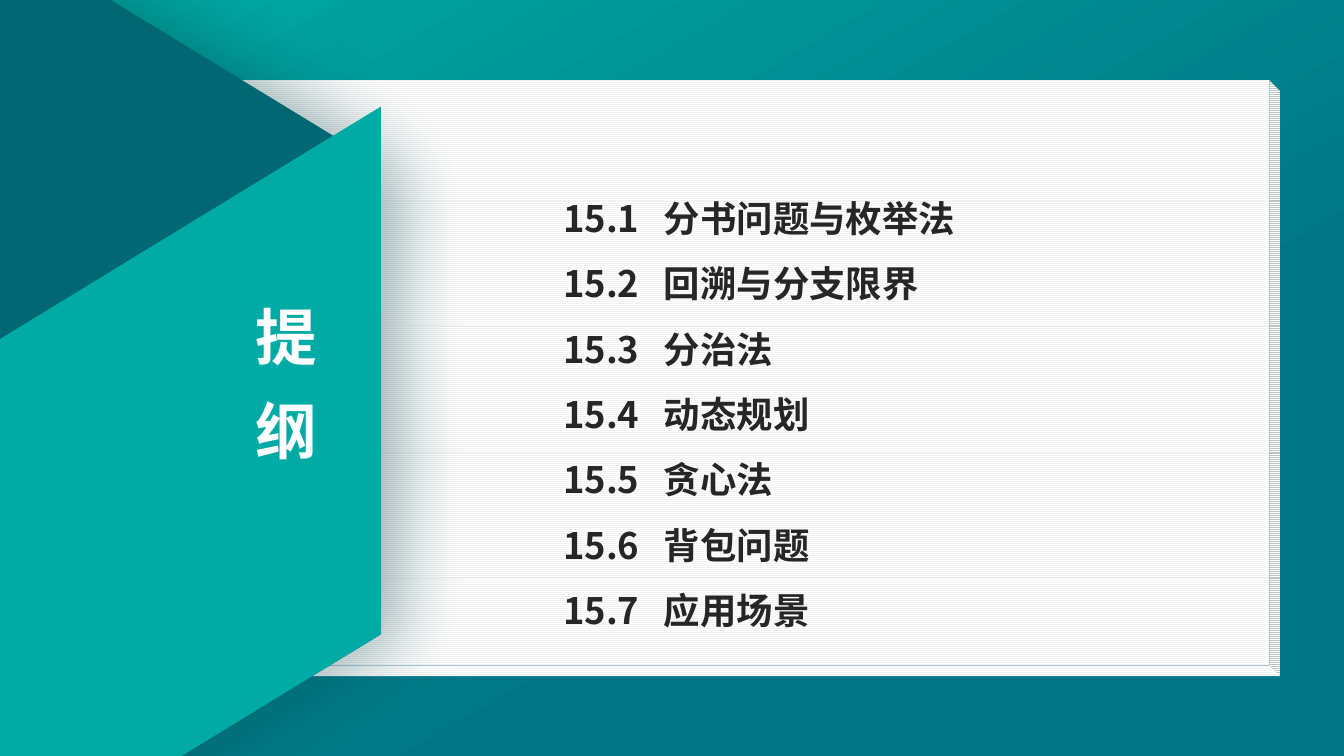
from dataclasses import dataclass
from typing import Optional

import lxml.etree
import pptx
import pptx.dml.color
import pptx.dml.fill
import pptx.enum.dml
import pptx.enum.shapes
import pptx.enum.text
import pptx.oxml.ns
import pptx.shapes.autoshape
import pptx.slide
import pptx.util

Cm = pptx.util.Cm
Pt = pptx.util.Pt
RGBColor = pptx.dml.color.RGBColor
Preset = pptx.enum.shapes.MSO_SHAPE
qn = pptx.oxml.ns.qn

TEAL = RGBColor(0x00, 0xAB, 0xA5)
DEEP_TEAL = RGBColor(0x00, 0x76, 0x84)
DARK_TEAL = RGBColor(0x01, 0x67, 0x73)
SHADOW_TEAL = RGBColor(0x01, 0x3F, 0x45)
PAPER_LINE = RGBColor(0xF2, 0xF2, 0xF2)
WHITE = RGBColor(0xFF, 0xFF, 0xFF)
BLACK = RGBColor(0x00, 0x00, 0x00)
INK = RGBColor(0x26, 0x26, 0x26)
FONT = "Noto Sans CJK SC"

TOPICS = [
    "分书问题与枚举法",
    "回溯与分支限界",
    "分治法",
    "动态规划",
    "贪心法",
    "背包问题",
    "应用场景",
]


@dataclass(frozen=True)
class Frame:
    left: float
    top: float
    width: float
    height: float


@dataclass(frozen=True)
class Panel:
    preset: Preset
    frame: Frame
    adjustment: float
    rotation: float = 0


@dataclass(frozen=True)
class Shadow:
    color: RGBColor
    opacity: int
    blur: float
    distance: float
    angle: int


@dataclass(frozen=True)
class TextStyle:
    size: float
    line_height: float
    color: RGBColor
    align: pptx.enum.text.PP_ALIGN
    tab: Optional[float] = None


PAPER = Panel(Preset.CUBE, Frame(0, 2.03, 32.26, 15.01), 0.018)
DARK_CORNER = Panel(Preset.HEXAGON, Frame(-15.77, -2.01, 26.57, 24.16), 0.305, 90)
TEAL_BAND = Panel(Preset.PARALLELOGRAM, Frame(-6.96, 7.34, 21.06, 11.35), 0.61, 328.6)

CORNER_SHADOW = Shadow(SHADOW_TEAL, 40, 55, 13, 0)
TITLE_SHADOW = Shadow(BLACK, 43, 3, 3, 45)

TITLE_FRAME = Frame(5.94, 7.04, 2.54, 4.72)
LIST_FRAME = Frame(13.94, 4.39, 10.74, 11.61)
TITLE_STYLE = TextStyle(44, 66.8, WHITE, pptx.enum.text.PP_ALIGN.CENTER)
LIST_STYLE = TextStyle(26, 46.7, INK, pptx.enum.text.PP_ALIGN.LEFT, 2.74)


def add_panel(page: pptx.slide.Slide, panel: Panel) -> pptx.shapes.autoshape.Shape:
    frame = panel.frame
    shape = page.shapes.add_shape(
        panel.preset, Cm(frame.left), Cm(frame.top), Cm(frame.width), Cm(frame.height)
    )
    shape.adjustments[0] = panel.adjustment
    shape.rotation = panel.rotation
    shape.line.fill.background()
    shape.shadow.inherit = False
    return shape


def fill_gradient(
    fill: pptx.dml.fill.FillFormat, stops: list[tuple[float, RGBColor]], angle: float
) -> None:
    fill.gradient()
    fill.gradient_angle = angle
    for stop, (position, color) in zip(fill.gradient_stops, stops):
        stop.position = position
        stop.color.rgb = color


def add_shadow(effects: lxml.etree._Element, shadow: Shadow) -> None:
    outer = lxml.etree.SubElement(
        effects,
        qn("a:outerShdw"),
        blurRad=str(int(Pt(shadow.blur))),
        dist=str(int(Pt(shadow.distance))),
        dir=str(shadow.angle * 60000),
        algn="ctr",
        rotWithShape="0",
    )
    color = lxml.etree.SubElement(outer, qn("a:srgbClr"), val=str(shadow.color))
    lxml.etree.SubElement(color, qn("a:alpha"), val=str(shadow.opacity * 1000))


def fill_placeholder(
    page: pptx.slide.Slide,
    box: pptx.shapes.autoshape.Shape,
    frame: Frame,
    lines: list[str],
    style: TextStyle,
) -> None:
    page.shapes.element.append(box.element)
    box.left, box.top = Cm(frame.left), Cm(frame.top)
    box.width, box.height = Cm(frame.width), Cm(frame.height)
    text = box.text_frame
    text.margin_left = text.margin_right = Cm(0.25) if style.tab else 0
    text.margin_top = text.margin_bottom = 0
    text.word_wrap = True
    text.auto_size = pptx.enum.text.MSO_AUTO_SIZE.NONE
    text.vertical_anchor = pptx.enum.text.MSO_ANCHOR.TOP
    text.text = "\n".join(lines)
    for paragraph in text.paragraphs:
        properties = paragraph._p.get_or_add_pPr()
        properties.set("marL", "0")
        properties.set("indent", "0")
        lxml.etree.SubElement(properties, qn("a:buNone"))
        if style.tab:
            tabs = lxml.etree.SubElement(properties, qn("a:tabLst"))
            lxml.etree.SubElement(
                tabs, qn("a:tab"), pos=str(int(Cm(style.tab))), algn="l"
            )
        paragraph.alignment = style.align
        paragraph.line_spacing = Pt(style.line_height)
        paragraph.space_before = Pt(0)
        paragraph.font.size = Pt(style.size)
        paragraph.font.bold = True
        paragraph.font.color.rgb = style.color
        paragraph.font.name = FONT
        defaults = properties.find(qn("a:defRPr"))
        lxml.etree.SubElement(defaults, qn("a:ea"), typeface=FONT)


def main() -> None:
    deck = pptx.Presentation()
    deck.slide_width, deck.slide_height = Cm(33.87), Cm(19.05)
    page = deck.slides.add_slide(deck.slide_layouts[1])
    fill_gradient(page.background.fill, [(0, TEAL), (0.67, DEEP_TEAL)], 300)

    paper = add_panel(page, PAPER)
    paper.element.spPr.find(qn("a:xfrm")).set("flipV", "1")
    paper.fill.patterned()
    paper.fill.pattern = pptx.enum.dml.MSO_PATTERN.LIGHT_HORIZONTAL
    paper.fill.fore_color.rgb = PAPER_LINE
    paper.fill.back_color.rgb = WHITE

    corner = add_panel(page, DARK_CORNER)
    fill_gradient(corner.fill, [(0.77, DARK_TEAL), (1, DEEP_TEAL)], 270)
    add_shadow(corner.element.spPr.find(qn("a:effectLst")), CORNER_SHADOW)

    band = add_panel(page, TEAL_BAND)
    band.fill.solid()
    band.fill.fore_color.rgb = TEAL

    title, body = page.placeholders
    fill_placeholder(page, title, TITLE_FRAME, ["提纲"], TITLE_STYLE)
    for color_fill in title.element.iter(qn("a:solidFill")):
        effects = color_fill.makeelement(qn("a:effectLst"))
        color_fill.addnext(effects)
        add_shadow(effects, TITLE_SHADOW)

    lines = [f"15.{number}\t{topic}" for number, topic in enumerate(TOPICS, 1)]
    fill_placeholder(page, body, LIST_FRAME, lines, LIST_STYLE)
    deck.save("out.pptx")


if __name__ == "__main__":
    main()
